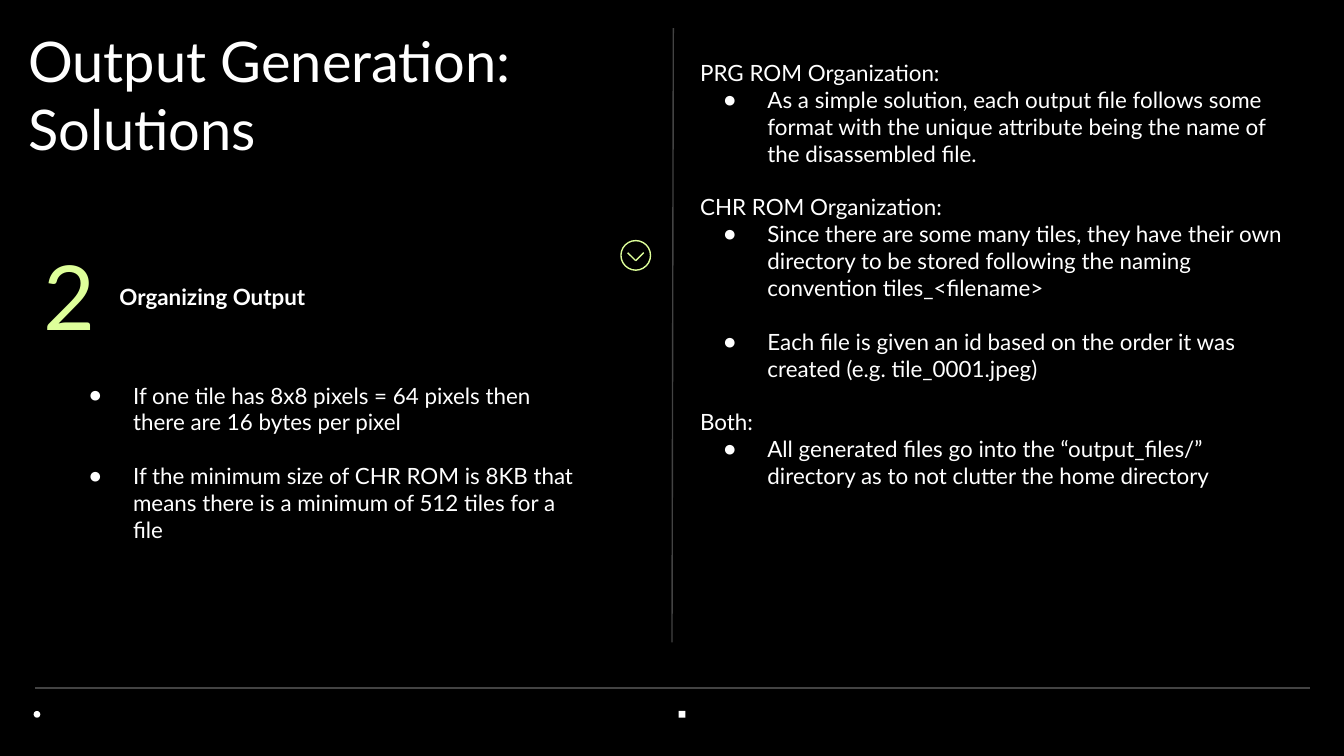
from lxml import etree
from pptx import Presentation
from pptx.dml.color import RGBColor
from pptx.enum.shapes import MSO_CONNECTOR, MSO_SHAPE
from pptx.enum.text import MSO_ANCHOR, MSO_AUTO_SIZE, PP_ALIGN
from pptx.oxml.ns import qn
from pptx.util import Inches, Pt

STRAIGHT = MSO_CONNECTOR.STRAIGHT
OVAL, RECTANGLE = MSO_SHAPE.OVAL, MSO_SHAPE.RECTANGLE
TOP, LEFT = MSO_ANCHOR.TOP, PP_ALIGN.LEFT
NO_AUTO_SIZE = MSO_AUTO_SIZE.NONE
FONT = "Lato"
BLACK, WHITE, GRAY, LIME = "000000", "FFFFFF", "434343", "DEFF9A"
SLIDE_WIDTH = 10
SLIDE_HEIGHT = SLIDE_WIDTH * 9 / 16
LINE_HEIGHT = 14.4

TITLE = "Output Generation: Solutions"
NUMBER = "2"
SUBTITLE = "Organizing Output"
LEFT_GROUPS = [
    (None, [
        "If one tile has 8x8 pixels = 64 pixels then there are 16 bytes per pixel",
        "If the minimum size of CHR ROM is 8KB that means there is a minimum of 512 tiles for a file",
    ]),
]
RIGHT_GROUPS = [
    ("PRG ROM Organization:", [
        "As a simple solution, each output file follows some format with the unique attribute "
        "being the name of the disassembled file.",
    ]),
    ("CHR ROM Organization:", [
        "Since there are some many tiles, they have their own directory to be stored following "
        "the naming convention tiles_<filename>",
        "Each file is given an id based on the order it was created (e.g. tile_0001.jpeg)",
    ]),
    ("Both:", [
        "All generated files go into the “output_files/” directory as to not clutter the home directory",
    ]),
]
MARKERS = [(OVAL, 0.25), (RECTANGLE, 5.05)]
LINES = [
    ((0.26, 5.12), (9.75, 5.12), GRAY),
    ((5.01, 0.21), (5, 4.78), GRAY),
    ((4.67, 1.88), (4.73, 1.94), LIME),
    ((4.79, 1.88), (4.73, 1.94), LIME),
]


def color(value):
    return RGBColor.from_string(value)


def add_line(slide, start, end, line_color):
    line = slide.shapes.add_connector(STRAIGHT, *map(Inches, start + end))
    line.line.color.rgb = color(line_color)
    line.line.width = Pt(0.75)
    etree.SubElement(line._element.spPr, qn("a:effectLst"))


def add_shape(slide, kind, left, top, size):
    shape = slide.shapes.add_shape(kind, *map(Inches, (left, top, size, size)))
    shape.shadow.inherit = False
    return shape


def place(shape, box, inset=0.1):
    shape.left, shape.top, shape.width, shape.height = map(Inches, box)
    frame = shape.text_frame
    frame.word_wrap = True
    frame.auto_size = NO_AUTO_SIZE
    frame.vertical_anchor = TOP
    frame.margin_left = frame.margin_top = Inches(inset)
    frame.margin_right = frame.margin_bottom = Inches(0.1)
    return frame


def write(paragraph, text, size=12, text_color=WHITE, bold=False, spacing=1.0, before=0):
    paragraph.alignment = LEFT
    paragraph.line_spacing = spacing
    paragraph.space_before = Pt(before)
    run = paragraph.add_run()
    run.text = text
    run.font.name = FONT
    run.font.size = Pt(size)
    run.font.bold = bold
    run.font.color.rgb = color(text_color)


def set_bullet(paragraph, bulleted):
    properties = paragraph._p.get_or_add_pPr()
    properties.set("marL", str(Inches(0.5) if bulleted else 0))
    properties.set("indent", str(Inches(-0.33) if bulleted else 0))
    if bulleted:
        bullet_color = etree.SubElement(properties, qn("a:buClr"))
        etree.SubElement(bullet_color, qn("a:srgbClr"), val=WHITE)
        etree.SubElement(properties, qn("a:buChar"), char="●")
    else:
        etree.SubElement(properties, qn("a:buNone"))


def fill_list(frame, groups):
    first = True
    for heading, items in groups:
        rows = [(heading, False)] if heading else []
        rows += [(item, True) for item in items]
        for index, (text, bulleted) in enumerate(rows):
            paragraph = frame.paragraphs[0] if first else frame.add_paragraph()
            follows_heading = heading and index == 1
            before = 0 if first or follows_heading else LINE_HEIGHT
            set_bullet(paragraph, bulleted)
            write(paragraph, text, before=before)
            first = False


def main():
    """Build the output organization slide."""
    presentation = Presentation()
    presentation.slide_width = Inches(SLIDE_WIDTH)
    presentation.slide_height = Inches(SLIDE_HEIGHT)
    slide = presentation.slides.add_slide(presentation.slide_layouts[3])
    slide.background.fill.solid()
    slide.background.fill.fore_color.rgb = color(BLACK)

    for kind, left in MARKERS:
        marker = add_shape(slide, kind, left, 5.29, 0.05)
        marker.fill.solid()
        marker.fill.fore_color.rgb = color(WHITE)
        marker.line.fill.background()
    circle = add_shape(slide, OVAL, 4.62, 1.79, 0.22)
    circle.fill.background()
    circle.line.color.rgb = color(LIME)
    circle.line.width = Pt(0.75)
    for start, end, line_color in LINES:
        add_line(slide, start, end, line_color)

    title, left_list, right_list = slide.placeholders
    write(place(title, (0.21, 0.2, 3.99, 1.11), inset=0).paragraphs[0], TITLE, size=30)
    fill_list(place(left_list, (0.39, 2.74, 4.08, 2.16)), LEFT_GROUPS)
    fill_list(place(right_list, (5.11, 0.34, 4.58, 3.31)), RIGHT_GROUPS)

    number = slide.shapes.add_textbox(0, 0, 0, 0)
    frame = place(number, (0.32, 1.79, 0.48, 0.86), inset=0)
    write(frame.paragraphs[0], NUMBER, size=48, text_color=LIME)
    subtitle = slide.shapes.add_textbox(0, 0, 0, 0)
    frame = place(subtitle, (0.79, 1.98, 3.55, 0.5))
    write(frame.paragraphs[0], SUBTITLE, bold=True, spacing=1.15)

    presentation.save("out.pptx")


if __name__ == "__main__":
    main()
